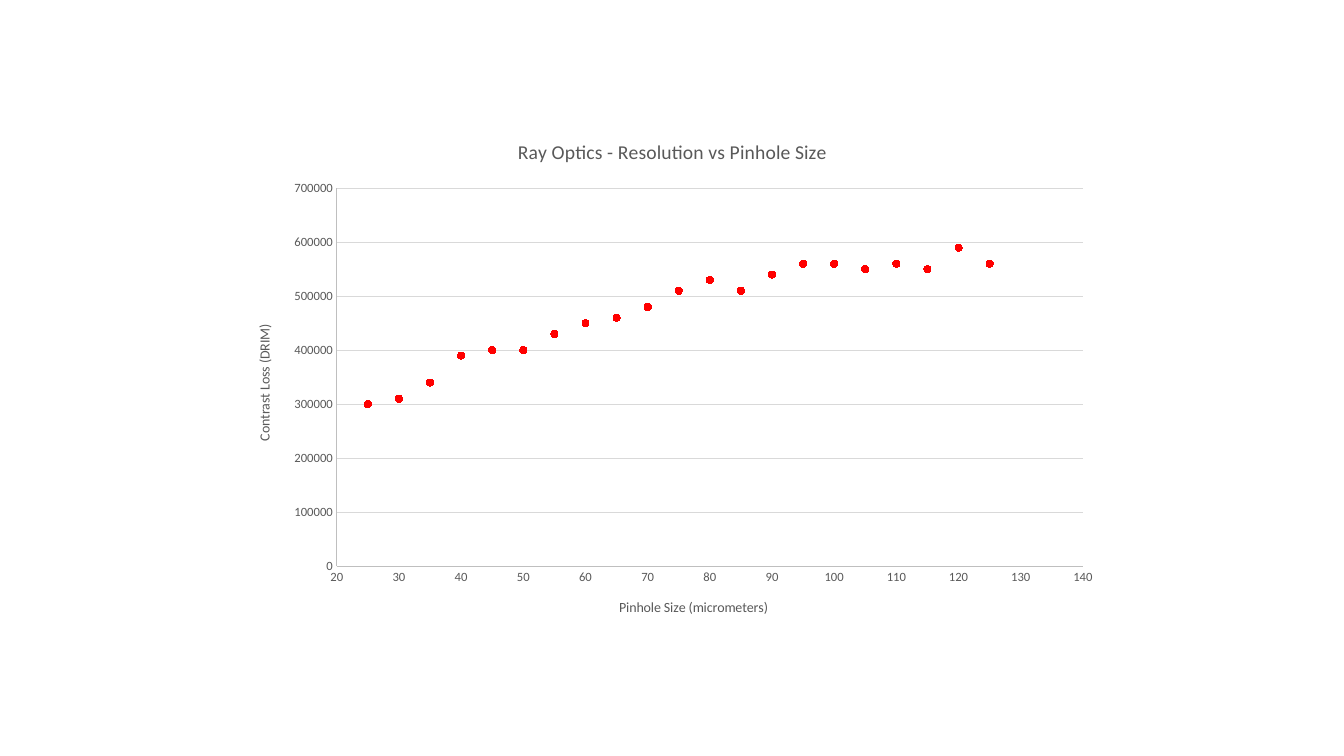
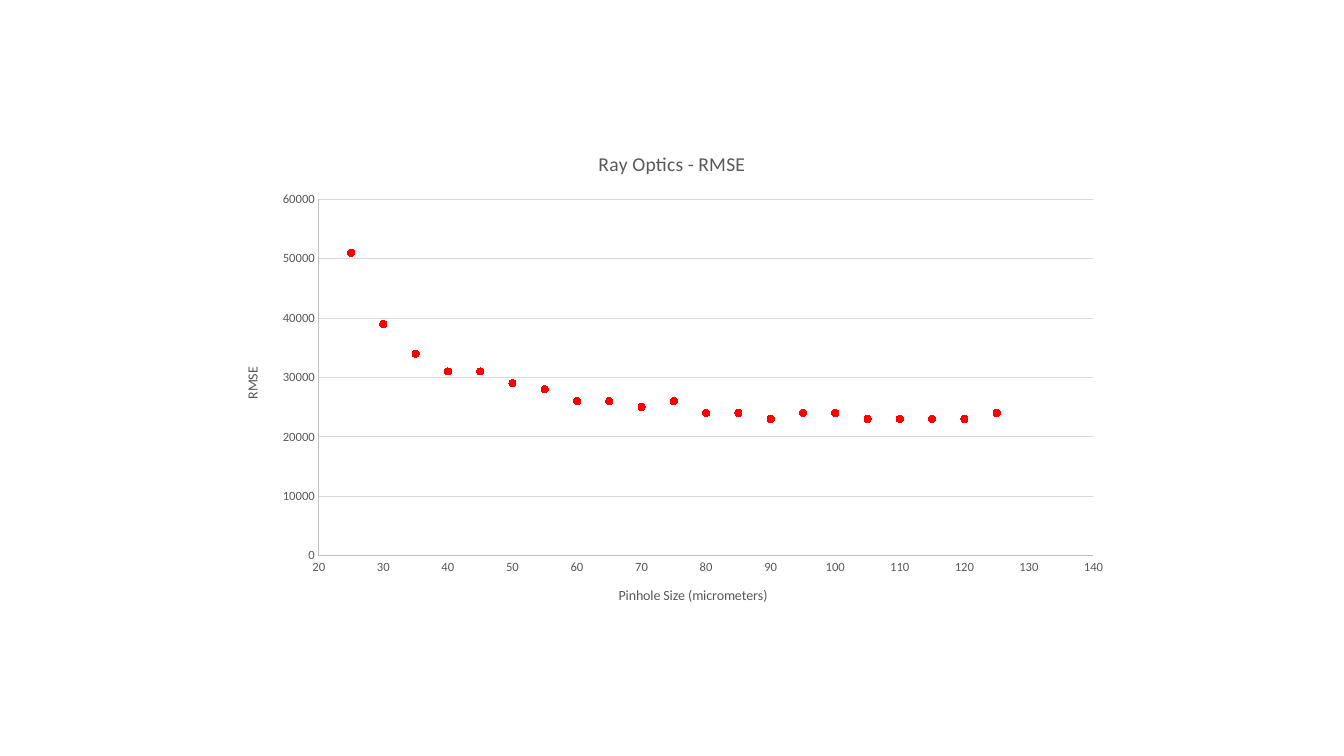
from dataclasses import dataclass

from pptx import Presentation
from pptx.chart import data
from pptx.dml import color
from pptx.enum import chart as kinds
from pptx.util import Inches, Pt


@dataclass(frozen=True)
class Theme:
    """Colours, type sizes and line widths."""
    face: str = "Calibri"
    ink: str = "595959"
    axis: str = "BFBFBF"
    grid: str = "D9D9D9"
    dot: str = "FF0000"
    head: float = 14
    name: float = 10
    tick: float = 9
    line: float = 0.75
    mark: int = 5


class Deck:
    """Holds the style and the current slide."""

    def __init__(self, theme):
        self.theme = theme
        self.file = Presentation()
        self.file.slide_width = Inches(13.33)
        self.file.slide_height = Inches(7.5)
        self.page = None

    def slide(self):
        """Start a blank slide."""
        self.page = self.file.slides.add_slide(self.file.slide_layouts[6])

    def font(self, font, size):
        """Style a font."""
        font.name = self.theme.face
        font.size = Pt(size)
        font.bold = False
        font.color.rgb = color.RGBColor.from_string(self.theme.ink)

    def line(self, line, tint):
        """Style a thin line."""
        line.color.rgb = color.RGBColor.from_string(tint)
        line.width = Pt(self.theme.line)

    def title(self, owner, words, size):
        """Title a chart or an axis."""
        owner.has_title = True
        frame = getattr(owner, "chart_title", None) or owner.axis_title
        frame.text_frame.text = words
        self.font(frame.text_frame.paragraphs[0].font, size)

    def axis(self, axis, words, low, high, step):
        """Style and scale an axis."""
        axis.minimum_scale, axis.maximum_scale = low, high
        axis.major_unit = step
        axis.major_tick_mark = kinds.XL_TICK_MARK.NONE
        axis.minor_tick_mark = kinds.XL_TICK_MARK.NONE
        axis.has_major_gridlines = False
        self.font(axis.tick_labels.font, self.theme.tick)
        self.line(axis.format.line, self.theme.axis)
        self.title(axis, words, self.theme.name)

    def dots(self, series):
        """Show a series as round markers only."""
        series.smooth = False
        series.format.line.fill.background()
        mark = series.marker
        mark.style = kinds.XL_MARKER_STYLE.CIRCLE
        mark.size = self.theme.mark
        tint = color.RGBColor.from_string(self.theme.dot)
        mark.format.fill.solid()
        mark.format.fill.fore_color.rgb = tint
        self.line(mark.format.line, self.theme.dot)

    def scatter(self, box, head, label, top, step, points):
        """Add a scatter chart over pinhole size."""
        table = data.XyChartData()
        series = table.add_series("Series 1")
        for x, y in points:
            series.add_data_point(x, y)
        chart = self.page.shapes.add_chart(
            kinds.XL_CHART_TYPE.XY_SCATTER, *map(Inches, box), table).chart
        self.font(chart.font, self.theme.name)
        chart.has_legend = False
        self.title(chart, head, self.theme.head)
        chart.plots[0].vary_by_categories = False
        self.axis(chart.category_axis, "Pinhole Size (micrometers)", 20, 140, 10)
        self.axis(chart.value_axis, label, 0, top, step)
        self.line(chart.value_axis.major_gridlines.format.line, self.theme.grid)
        self.dots(chart.plots[0].series[0])


SIZES = range(25, 130, 5)
LOSS = [30, 31, 34, 39, 40, 40, 43, 45, 46, 48, 51,
        53, 51, 54, 56, 56, 55, 56, 55, 59, 56]
RMSE = [51, 39, 34, 31, 31, 29, 28, 26, 26, 25, 26,
        24, 24, 23, 24, 24, 23, 23, 23, 23, 24]
CHARTS = [
    ((2.33, 1.18, 8.68, 5.13), "Ray Optics - Resolution vs Pinhole Size",
     "Contrast Loss (DRIM)", 700000, 100000, LOSS, 10000),
    ((2.21, 1.3, 8.91, 4.9), "Ray Optics - RMSE",
     "RMSE", 60000, 10000, RMSE, 1000),
]


def main():
    """Build and save the deck."""
    deck = Deck(Theme())
    for box, head, label, top, step, values, scale in CHARTS:
        deck.slide()
        points = [(x, y * scale) for x, y in zip(SIZES, values)]
        deck.scatter(box, head, label, top, step, points)
    deck.file.save("out.pptx")


if __name__ == "__main__":
    main()
